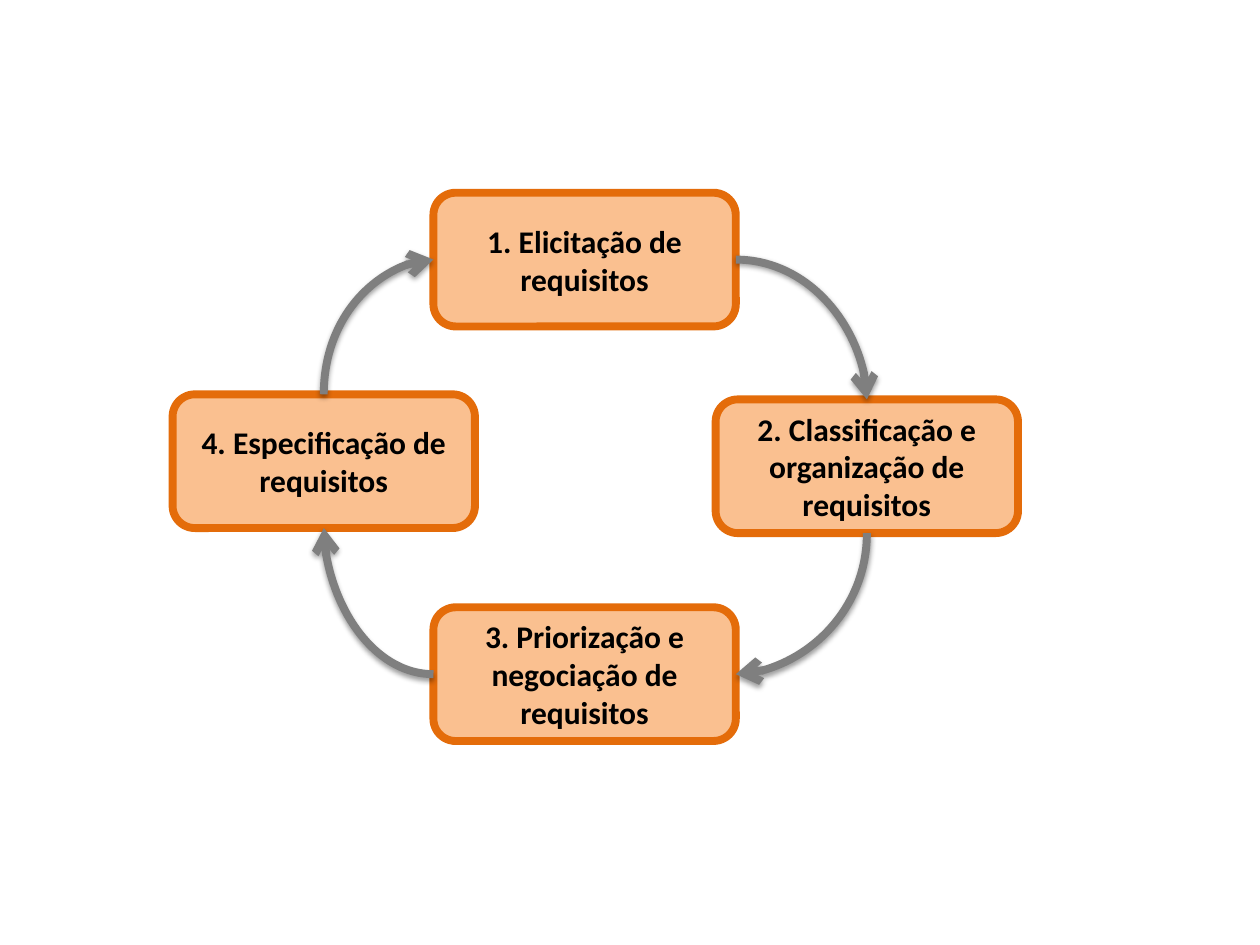
from lxml import etree
from pptx import Presentation
from pptx.dml.color import RGBColor
from pptx.enum.shapes import MSO_CONNECTOR, MSO_SHAPE
from pptx.enum.text import MSO_ANCHOR, PP_ALIGN
from pptx.oxml import parse_xml
from pptx.oxml.ns import nsdecls
from pptx.util import Inches, Pt

BOX = MSO_SHAPE.FLOWCHART_ALTERNATE_PROCESS
CURVE = MSO_CONNECTOR.CURVE
MIDDLE, CENTER = MSO_ANCHOR.MIDDLE, PP_ALIGN.CENTER
TOP, LEFT, BOTTOM, RIGHT = range(4)  # connection sites of a box

SHADOW = f"""<a:effectLst {nsdecls('a')}>
  <a:outerShdw blurRad="40000" dist="20000" dir="5400000" rotWithShape="0">
    <a:srgbClr val="000000"><a:alpha val="38000"/></a:srgbClr>
  </a:outerShdw>
</a:effectLst>"""


def paint(color_format, color):
    color_format.rgb = RGBColor.from_string(color)


prs = Presentation()
prs.slide_width, prs.slide_height = Inches(10), Inches(7.5)
s = prs.slides.add_slide(prs.slide_layouts[6])

# The grid has 100 columns and 100 rows
COL, ROW = prs.slide_width / 100, prs.slide_height / 100
BOX_W, BOX_H = int(24 * COL), int(14.15 * ROW)

# Steps in clockwise order: text, column, row
steps = [
    ("1. Elicitação de requisitos", 34.4, 20.4),
    ("2. Classificação e organização de requisitos", 56.8, 42.27),
    ("3. Priorização e negociação de requisitos", 34.4, 64.27),
    ("4. Especificação de requisitos", 13.7, 41.73),
]
boxes = []
for text, col, row in steps:
    sp = s.shapes.add_shape(BOX, int(col * COL), int(row * ROW), BOX_W, BOX_H)
    sp.shadow.inherit = False
    sp.fill.solid()
    paint(sp.fill.fore_color, "FAC090")
    paint(sp.line.color, "E46C0A")
    sp.line.width = Pt(4.5)
    tf = sp.text_frame
    tf.word_wrap = True
    tf.vertical_anchor = MIDDLE
    p = tf.paragraphs[0]
    p.text = text
    p.alignment = CENTER
    p.font.name, p.font.size, p.font.bold = "Calibri", Pt(18), True
    paint(p.font.color, "000000")
    boxes.append(sp)

# Each arrow: site it leaves, site it reaches, rotation, whether flipped both ways
arrows = [
    (RIGHT, TOP, 0, False),
    (BOTTOM, RIGHT, 90, False),
    (LEFT, BOTTOM, 180, False),
    (TOP, LEFT, 90, True),
]
for i, (leaves, reaches, angle, flipped) in enumerate(arrows):
    arrow = s.shapes.add_connector(CURVE, 0, 0, 0, 0)
    arrow.begin_connect(boxes[i], leaves)
    arrow.end_connect(boxes[(i + 1) % len(boxes)], reaches)

    # A quarter turn swaps width and height about the same centre
    mid_x = (arrow.begin_x + arrow.end_x) // 2
    mid_y = (arrow.begin_y + arrow.end_y) // 2
    w, h = arrow.width, arrow.height
    if angle == 90:
        w, h = h, w
    arrow.left, arrow.top = mid_x - w // 2, mid_y - h // 2
    arrow.width, arrow.height = w, h

    props = arrow._element.spPr
    props.prstGeom.set("prst", "curvedConnector2")
    props.xfrm.set("rot", str(angle * 60000))
    for flip in ("flipH", "flipV"):
        props.xfrm.set(flip, str(int(flipped)))

    paint(arrow.line.color, "7F7F7F")
    arrow.line.width = Pt(4.5)
    ln = arrow.line._get_or_add_ln()
    etree.SubElement(ln, ln.tag.replace("}ln", "}tailEnd"), type="arrow")
    props.append(parse_xml(SHADOW))

prs.save("out.pptx")
